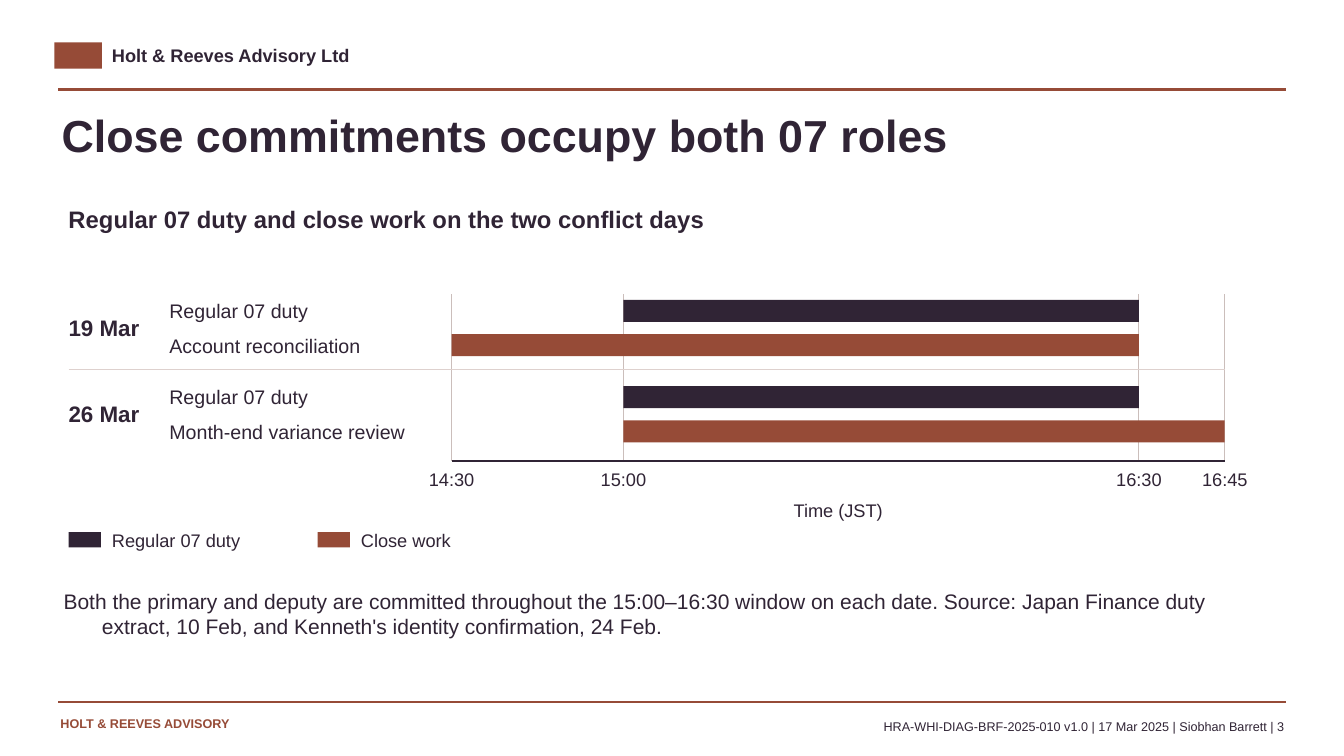
from lxml.etree import SubElement
from pptx import Presentation
from pptx.dml.color import RGBColor
from pptx.enum.shapes import MSO_CONNECTOR, MSO_SHAPE
from pptx.enum.text import MSO_ANCHOR, MSO_AUTO_SIZE, PP_ALIGN
from pptx.oxml.ns import qn
from pptx.util import Inches, Pt

WIDTH, HEIGHT = Inches(13.333), Inches(7.5)
PLUM, RUST, GRID, DIVIDER = "302435", "964B37", "CBBEBB", "DED1CE"

# Horizontal lengths are percent of slide width, vertical ones percent of height.
RULE_LEFT, RULE_RIGHT = 4.35, 95.7
CONTENT_LEFT, LABEL_LEFT = 5.1, 12.6
AXIS_LEFT, AXIS_RIGHT = 33.6, 91.13
GRID_TOP, AXIS_Y = 38.93, 61
FIRST_ROW, ROW_PITCH, DAY_PITCH = 39.2, 4.53, 11.4
TICKS = ("14:30", "15:00", "16:30", "16:45")
DAYS = (
    ("19 Mar", (("Regular 07 duty", "15:00", "16:30", PLUM),
                ("Account reconciliation", "14:30", "16:30", RUST))),
    ("26 Mar", (("Regular 07 duty", "15:00", "16:30", PLUM),
                ("Month-end variance review", "15:00", "16:45", RUST))),
)
LEGEND = (("Regular 07 duty", PLUM), ("Close work", RUST))


def rgb(hex_value):
    return RGBColor.from_string(hex_value)


def across(share):
    return int(WIDTH * share / 100)


def down(share):
    return int(HEIGHT * share / 100)


def place(left, top, width, height):
    return across(left), down(top), across(width), down(height)


def minutes(clock):
    hours, mins = clock.split(":")
    return int(hours) * 60 + int(mins)


def time_x(clock):
    """Horizontal share of a clock time on the axis."""
    start, end = minutes(TICKS[0]), minutes(TICKS[-1])
    share = (minutes(clock) - start) / (end - start)
    return AXIS_LEFT + share * (AXIS_RIGHT - AXIS_LEFT)


def set_all(target, values):
    for name, value in values.items():
        setattr(target, name, value)


def write(shape, words, size, color=PLUM, bold=False,
          align=PP_ALIGN.LEFT, anchor=MSO_ANCHOR.MIDDLE):
    frame = shape.text_frame
    set_all(frame, {
        "text": words, "word_wrap": True, "auto_size": MSO_AUTO_SIZE.NONE,
        "vertical_anchor": anchor, "margin_left": 0, "margin_right": 0,
        "margin_top": 0, "margin_bottom": 0,
    })
    paragraph = frame.paragraphs[0]
    paragraph.alignment = align
    font = paragraph.runs[0].font
    set_all(font, {"name": "Arial", "size": Pt(size), "bold": bold})
    font.color.rgb = rgb(color)
    return paragraph


def add_text(slide, area, words, size, **style):
    return write(slide.shapes.add_textbox(*place(*area)), words, size, **style)


def add_block(slide, area, color):
    block = slide.shapes.add_shape(MSO_SHAPE.RECTANGLE, *place(*area))
    block.shadow.inherit = False
    block.fill.solid()
    block.fill.fore_color.rgb = rgb(color)
    block.line.fill.background()


def add_line(slide, start, end, color, weight=0.75):
    line = slide.shapes.add_connector(
        MSO_CONNECTOR.STRAIGHT, across(start[0]), down(start[1]),
        across(end[0]), down(end[1]))
    line.line.color.rgb = rgb(color)
    line.line.width = Pt(weight)
    SubElement(line._element.spPr, qn("a:effectLst"))


def add_frame(slide):
    """Header and footer around the content."""
    add_block(slide, (4.05, 5.6, 3.53, 3.47), RUST)
    add_text(slide, (8.33, 5.87, 45, 3.6), "Holt & Reeves Advisory Ltd", 13,
             bold=True, anchor=MSO_ANCHOR.TOP)
    for y, weight in ((11.87, 1.75), (92.87, 1)):
        add_line(slide, (RULE_LEFT, y), (RULE_RIGHT, y), RUST, weight)
    add_text(slide, (4.5, 94.67, 25.5, 3.33), "HOLT & REEVES ADVISORY", 9,
             color=RUST, bold=True, anchor=MSO_ANCHOR.TOP)
    add_text(slide, (30.9, 94.67, 64.65, 2.93),
             "HRA-WHI-DIAG-BRF-2025-010 v1.0 | 17 Mar 2025 | Siobhan Barrett | 3",
             9, align=PP_ALIGN.RIGHT)


def add_axis(slide):
    for clock in TICKS:
        x = time_x(clock)
        add_line(slide, (x, GRID_TOP), (x, AXIS_Y), GRID)
        add_text(slide, (x - 2.55, 61.73, 5.1, 3.33), clock, 13,
                 align=PP_ALIGN.CENTER)
    add_line(slide, (AXIS_LEFT, AXIS_Y), (AXIS_RIGHT, AXIS_Y), PLUM, 1)
    middle = (AXIS_LEFT + AXIS_RIGHT) / 2
    add_text(slide, (middle - 7.7, 65.87, 15.4, 3.2), "Time (JST)", 13,
             align=PP_ALIGN.CENTER)


def add_days(slide):
    for day_index, (date, duties) in enumerate(DAYS):
        day_top = FIRST_ROW + day_index * DAY_PITCH
        add_text(slide, (CONTENT_LEFT, day_top, 7, 8.13), date, 16, bold=True)
        for row, (duty, start, end, color) in enumerate(duties):
            top = day_top + row * ROW_PITCH
            left = time_x(start)
            add_text(slide, (LABEL_LEFT, top, 19.9, 3.87), duty, 14)
            add_block(slide, (left, top + 0.47, time_x(end) - left, 2.93), color)
    add_line(slide, (CONTENT_LEFT, 48.87), (AXIS_RIGHT, 48.87), DIVIDER)


def add_legend(slide):
    for index, (meaning, color) in enumerate(LEGEND):
        left = CONTENT_LEFT + index * 18.53
        add_block(slide, (left, 70.4, 2.4, 2), color)
        add_text(slide, (left + 3.23, 69.73, 14.8, 3.33), meaning, 13)


def add_takeaway(slide):
    takeaway = add_text(
        slide, (4.73, 77.87, 89.55, 10.67),
        "Both the primary and deputy are committed throughout the 15:00–16:30 "
        "window on each date. Source: Japan Finance duty extract, 10 Feb, and "
        "Kenneth's identity confirmation, 24 Feb.", 15, anchor=MSO_ANCHOR.TOP)
    hanging = takeaway._p.get_or_add_pPr()
    hanging.set("marL", str(Inches(0.38)))
    hanging.set("indent", str(-Inches(0.38)))


def main():
    deck = Presentation()
    set_all(deck, {"slide_width": WIDTH, "slide_height": HEIGHT})
    slide = deck.slides.add_slide(deck.slide_layouts[5])
    add_frame(slide)
    title = slide.shapes.title
    set_all(title, dict(zip(("left", "top", "width", "height"),
                            place(4.58, 14.27, 90, 10.4))))
    write(title, "Close commitments occupy both 07 roles", 32, bold=True,
          anchor=MSO_ANCHOR.TOP)
    add_text(slide, (CONTENT_LEFT, 26.93, 88.13, 4),
             "Regular 07 duty and close work on the two conflict days", 17,
             bold=True)
    add_axis(slide)
    add_days(slide)
    add_legend(slide)
    add_takeaway(slide)
    deck.save("out.pptx")


if __name__ == "__main__":
    main()
